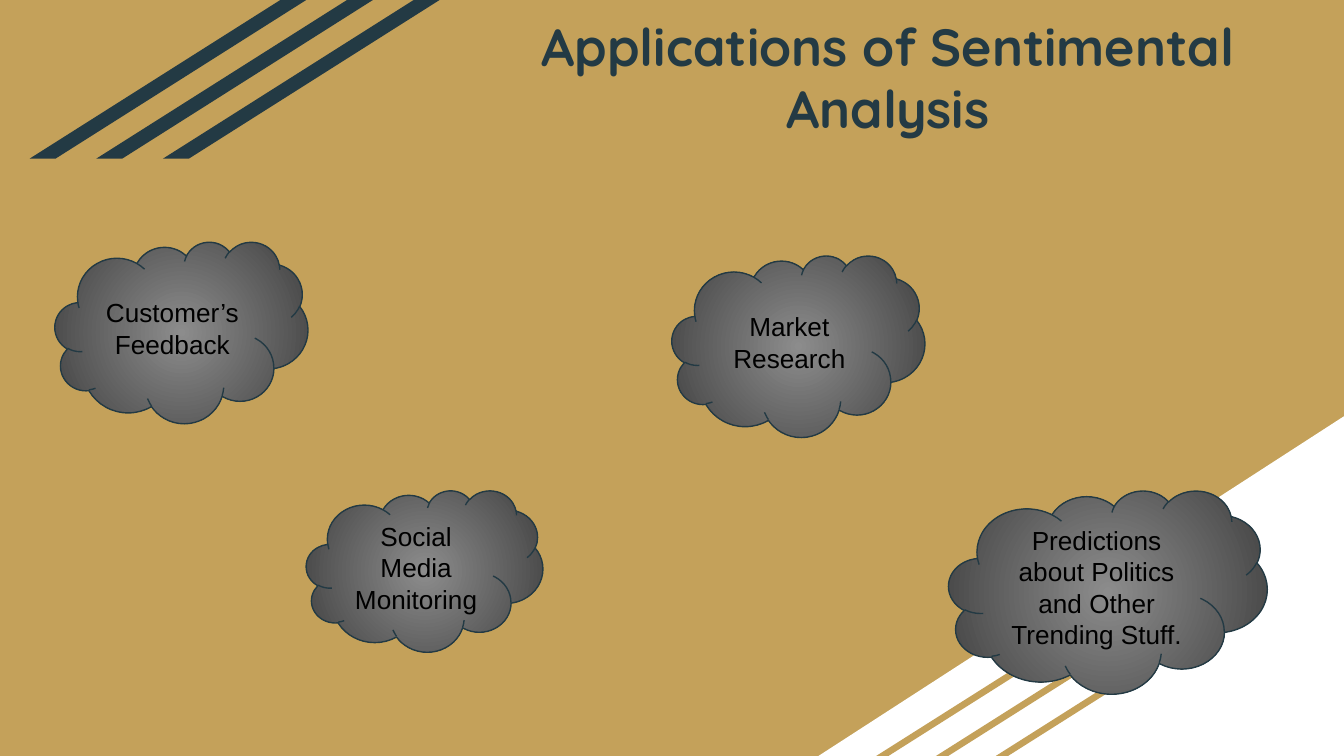
"""Build a slide showing four applications of sentiment analysis as clouds."""
from lxml import etree
from pptx import Presentation
from pptx import util as u
from pptx.dml.color import RGBColor
from pptx.enum import shapes, text
from pptx.oxml import ns

GOLD = RGBColor(0xC4, 0xA1, 0x5A)
NAVY = RGBColor(0x23, 0x3A, 0x44)
WHITE = RGBColor(0xFF, 0xFF, 0xFF)
BLACK = RGBColor(0x00, 0x00, 0x00)
LIGHT_GREY = RGBColor(0x8C, 0x8C, 0x8C)
DARK_GREY = RGBColor(0x40, 0x40, 0x40)


def write_text(shape, content, font="Arial", size=14, color=BLACK, bold=False,
               fit=text.MSO_AUTO_SIZE.NONE):
    frame = shape.text_frame
    frame.word_wrap = True
    frame.auto_size = fit
    frame.vertical_anchor = text.MSO_ANCHOR.MIDDLE
    frame.margin_left = frame.margin_right = u.Cm(0.25)
    frame.margin_top = frame.margin_bottom = u.Cm(0.25)
    paragraph = frame.paragraphs[0]
    paragraph.alignment = text.PP_ALIGN.CENTER
    run = paragraph.add_run()
    run.text = content
    run.font.name = font
    run.font.size = u.Pt(size)
    run.font.bold = bold
    run.font.color.rgb = color


def add_plain_shape(slide, kind, left, top, width, height, color):
    shape = slide.shapes.add_shape(kind, u.Cm(left), u.Cm(top), u.Cm(width), u.Cm(height))
    shape.shadow.inherit = False
    shape.fill.solid()
    shape.fill.fore_color.rgb = color
    shape.line.fill.background()
    return shape


presentation = Presentation()
presentation.slide_width = u.Cm(25.4)
presentation.slide_height = u.Cm(14.29)
slide = presentation.slides.add_slide(presentation.slide_layouts[5])
slide.background.fill.solid()
slide.background.fill.fore_color.rgb = GOLD

corner = add_plain_shape(slide, shapes.MSO_SHAPE.RIGHT_TRIANGLE, 15.47, 7.87, 9.93, 6.42, WHITE)
corner.element.spPr.xfrm.set("flipH", "1")

stripe_groups = [
    (16.56, 1.13, 11.45, 4.72, 2.84, GOLD),
    (0.56, 1.26, 0, 5.23, 3, NAVY),
]
for left, step, top, width, height, color in stripe_groups:
    for index in reversed(range(3)):
        stripe = add_plain_shape(slide, shapes.MSO_SHAPE.PARALLELOGRAM,
                                 left + index * step, top, width, height, color)
        stripe.adjustments[0] = 1.58

title = slide.shapes.title
title.left, title.top = u.Cm(8.13), u.Cm(0)
title.width, title.height = u.Cm(17.3), u.Cm(2.9)
write_text(title, "Applications of Sentimental Analysis", font="Quicksand", size=28,
           color=NAVY, bold=True, fit=text.MSO_AUTO_SIZE.TEXT_TO_FIT_SHAPE)

clouds = [
    ("Customer’s Feedback", 1.04, 4.57, 4.78, 3.43),
    ("Social Media Monitoring", 5.79, 9.27, 4.47, 3.05),
    ("Market Research", 12.7, 4.83, 4.78, 3.43),
    ("Predictions about Politics and Other Trending Stuff.", 17.93, 9.27, 6.02, 3.84),
]
for label, left, top, width, height in clouds:
    cloud = add_plain_shape(slide, shapes.MSO_SHAPE.CLOUD, left, top, width, height, DARK_GREY)
    cloud.fill.gradient()
    for stop, position, color in zip(cloud.fill.gradient_stops, (0, 1), (LIGHT_GREY, DARK_GREY)):
        stop.position = position
        stop.color.rgb = color
    gradient = cloud.element.spPr.find(ns.qn("a:gradFill"))
    gradient.remove(gradient.find(ns.qn("a:lin")))
    radial = etree.SubElement(gradient, ns.qn("a:path"), path="circle")
    etree.SubElement(radial, ns.qn("a:fillToRect"),
                     {side: "50000" for side in ("l", "t", "r", "b")})
    cloud.line.color.rgb = NAVY
    cloud.line.width = u.Pt(0.75)
    write_text(cloud, label)

presentation.save("out.pptx")
